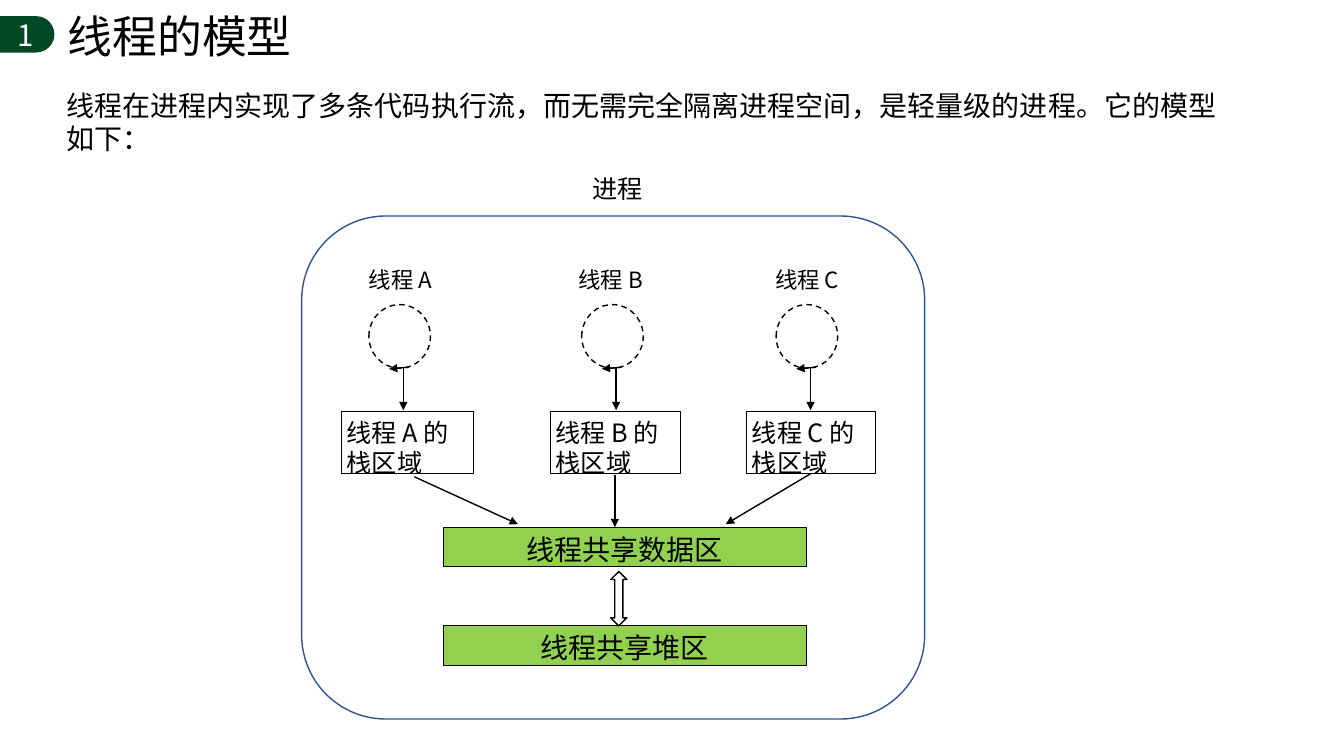
from lxml.etree import SubElement
from pptx import Presentation
from pptx.dml.color import RGBColor
from pptx.enum.dml import MSO_LINE
from pptx.enum.shapes import MSO_CONNECTOR, MSO_SHAPE
from pptx.enum.text import MSO_ANCHOR, PP_ALIGN
from pptx.oxml.ns import qn
from pptx.util import Pt

FONT = "Noto Sans CJK SC"
BLACK = RGBColor(0x00, 0x00, 0x00)
WHITE = RGBColor(0xFF, 0xFF, 0xFF)
DARK_GREEN = RGBColor(0x01, 0x49, 0x24)
LIGHT_GREEN = RGBColor(0x92, 0xD0, 0x50)
BLUE = RGBColor(0x32, 0x53, 0x8F)

prs = Presentation()
prs.slide_width, prs.slide_height = Pt(960), Pt(540)
slide = prs.slides.add_slide(prs.slide_layouts[6])


def add_block(box, preset=None, fill=None, line=None, weight=1, text="", size=18,
              color=BLACK, align=PP_ALIGN.LEFT, inset=3.6, wrap=True):
    """Add a shape, or a text box when no preset is given."""
    place = [Pt(value) for value in box]
    if preset is None:
        block = slide.shapes.add_textbox(*place)
    else:
        block = slide.shapes.add_shape(preset, *place)
        block.shadow.inherit = False
        if fill is None:
            block.fill.background()
        else:
            block.fill.solid()
            block.fill.fore_color.rgb = fill
        if line is None:
            block.line.fill.background()
        else:
            block.line.color.rgb = line
            block.line.width = Pt(weight)
    if text:
        frame = block.text_frame
        frame.text = text
        frame.word_wrap = wrap
        frame.vertical_anchor = MSO_ANCHOR.TOP
        frame.margin_left = frame.margin_right = Pt(inset)
        frame.margin_top = frame.margin_bottom = Pt(inset)
        for paragraph in frame.paragraphs:
            paragraph.alignment = align
            for run in paragraph.runs:
                run.font.size = Pt(size)
                run.font.name = FONT
                run.font.color.rgb = color
                SubElement(run._r.get_or_add_rPr(), qn("a:ea"), typeface=FONT)
    return block


def add_arrow(x1, y1, x2, y2):
    """Add a thin black line with an arrowhead at its second end."""
    arrow = slide.shapes.add_connector(
        MSO_CONNECTOR.STRAIGHT, Pt(x1), Pt(y1), Pt(x2), Pt(y2))
    arrow.line.color.rgb = BLACK
    arrow.line.width = Pt(1)
    SubElement(arrow.line._get_or_add_ln(), qn("a:tailEnd"), type="triangle")
    SubElement(arrow._element.spPr, qn("a:effectLst"))


# Section number, title and introduction
badge = add_block((-14.4, 11.5, 53.3, 26), MSO_SHAPE.ROUNDED_RECTANGLE, DARK_GREEN)
badge.adjustments[0] = 0.5
add_block((8, 8.6, 20, 28), text="1", size=21, color=WHITE, align=PP_ALIGN.CENTER)
add_block((45.4, 3, 166.3, 37.4), text="线程的模型", size=32, inset=2.9, wrap=False)
add_block((44.6, 60, 841, 45.4), size=20, inset=2.9,
          text="线程在进程内实现了多条代码执行流，而无需完全隔离进程空间，是轻量级的进程。它的模型如下：")

# Process frame
process = add_block((215.5, 154.3, 445, 359.3), MSO_SHAPE.ROUNDED_RECTANGLE, line=BLUE)
process.adjustments[0] = 0.167
add_block((419.8, 120.2, 47, 25.2), text="进程")

# Threads: name, label left, ring left, stack left, stack width, stack text
threads = [
    ("A", 260, 263.5, 244, 94, "线程 A 的栈区域"),
    ("B", 409.7, 415.5, 393.3, 93, "线程 B 的\n栈区域"),
    ("C", 550, 554.4, 533.5, 91.6, "线程 C 的栈区域"),
]
for name, label_left, ring_left, stack_left, stack_width, stack_text in threads:
    add_block((label_left, 186.5, 64, 23), text=f"线程 {name}", size=16)
    ring = add_block((ring_left, 217.6, 44, 45.4), MSO_SHAPE.OVAL, line=BLACK)
    ring.line.dash_style = MSO_LINE.DASH
    add_arrow(ring_left + 28.6, 262.3, ring_left + 14.4, 263.5)
    add_arrow(ring_left + 24.6, 262.3, ring_left + 24.6, 293)
    add_block((stack_left, 294.2, stack_width, 44), MSO_SHAPE.RECTANGLE,
              line=BLACK, weight=0.75, text=stack_text)

# Shared areas
for top, area in ((376.5, "线程共享数据区"), (447.1, "线程共享堆区")):
    add_block((316.8, top, 259.2, 28), MSO_SHAPE.RECTANGLE, LIGHT_GREEN, BLACK, 0.75,
              area, 20, align=PP_ALIGN.CENTER)

# Stacks to shared data
add_arrow(296, 340.6, 370, 374.4)
add_arrow(439.2, 339, 439.2, 376.5)
add_arrow(579, 338.4, 518.4, 374.4)

# Exchange between shared data and heap
exchange = add_block((436.3, 408.2, 11.5, 38.9), MSO_SHAPE.UP_DOWN_ARROW, WHITE, BLACK)
exchange.adjustments[0] = 0.5
exchange.adjustments[1] = 0.5

prs.save("out.pptx")
